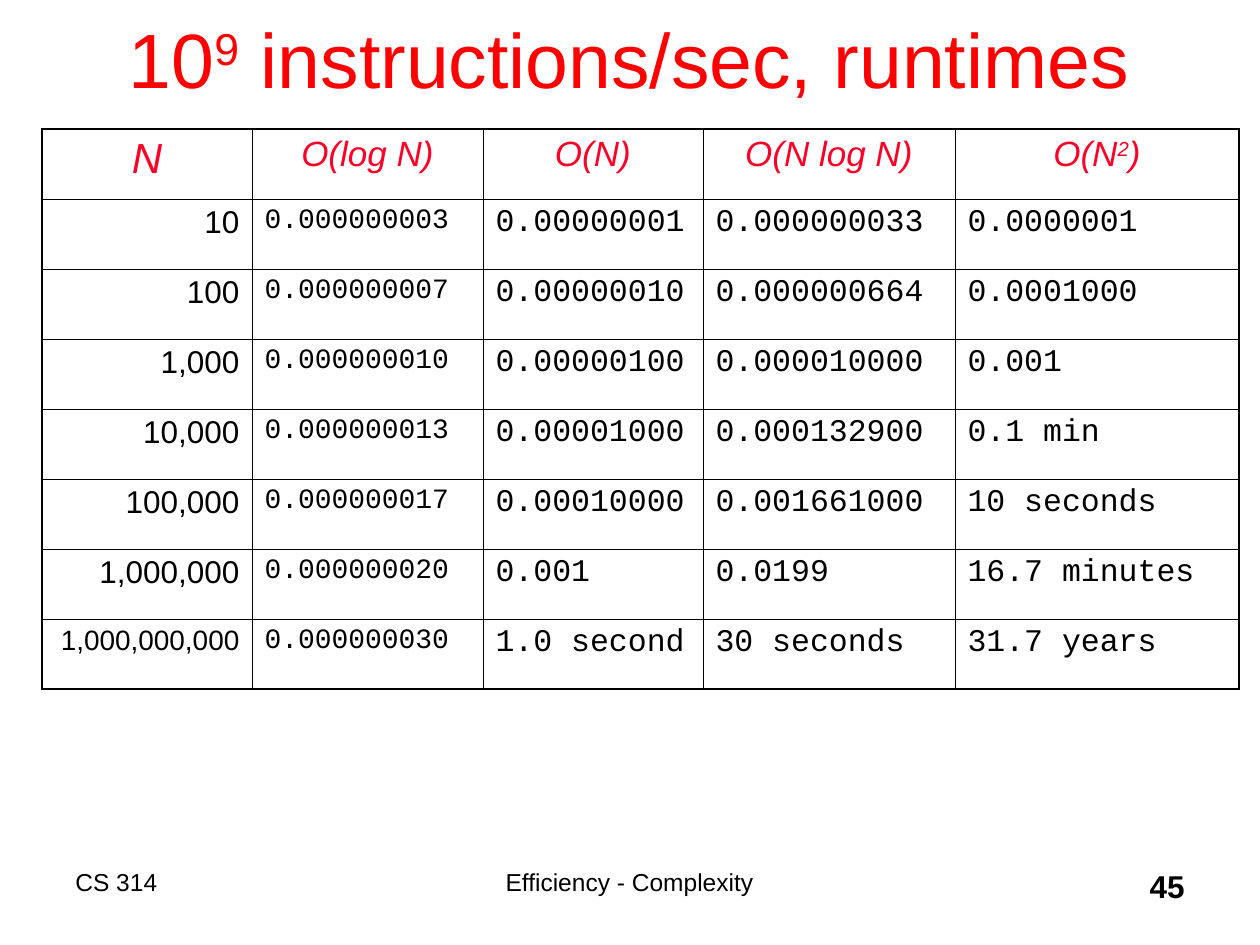
from typing import NamedTuple

from lxml.etree import SubElement
from pptx import Presentation
from pptx.dml.color import RGBColor
from pptx.enum.text import MSO_ANCHOR, MSO_AUTO_SIZE, PP_ALIGN
from pptx.oxml.ns import qn
from pptx.util import Emu, Pt

PX_PER_INCH = 126
COLORS = {"title": "FF0000", "header": "FC0128", "ink": "000000"}
OUTER_LINE, INNER_LINE = Pt(1.08), Pt(0.45)
TABLE_LEFT, TABLE_TOP, ROW_HEIGHT = 42, 129, 70
COLUMN_WIDTHS = [210, 231, 220, 252, 284]


class Box(NamedTuple):
    left: int
    top: int
    width: int
    height: int


class Style(NamedTuple):
    size: int
    color: str = "ink"
    align: PP_ALIGN = PP_ALIGN.LEFT
    font: str = "Arial"
    bold: bool = False
    italic: bool = False


class Label(NamedTuple):
    text: str
    box: Box
    style: Style


TITLE = Style(44, "title", PP_ALIGN.CENTER)
HEADER = Style(20, "header", PP_ALIGN.CENTER, italic=True)
CORNER = HEADER._replace(size=24)
COUNT = Style(18, align=PP_ALIGN.RIGHT)
LONG_COUNT = COUNT._replace(size=16)
RUNTIME = Style(18, font="Courier New")
LOG_RUNTIME = RUNTIME._replace(size=16)

# A caret encloses superscript text: "10^9^" raises the 9.
HEADERS = ["N", "O(log N)", "O(N)", "O(N log N)", "O(N^2^)"]
RUNTIMES = [
    ["10", "0.000000003", "0.00000001", "0.000000033", "0.0000001"],
    ["100", "0.000000007", "0.00000010", "0.000000664", "0.0001000"],
    ["1,000", "0.000000010", "0.00000100", "0.000010000", "0.001"],
    ["10,000", "0.000000013", "0.00001000", "0.000132900", "0.1 min"],
    ["100,000", "0.000000017", "0.00010000", "0.001661000", "10 seconds"],
    ["1,000,000", "0.000000020", "0.001", "0.0199", "16.7 minutes"],
    ["1,000,000,000", "0.000000030", "1.0 second", "30 seconds", "31.7 years"],
]
FOOTER = [
    Label("CS 314", Box(63, 861, 315, 63), Style(14)),
    Label("Efficiency - Complexity", Box(388, 861, 483, 63),
          Style(14, align=PP_ALIGN.CENTER)),
    Label("45", Box(935, 861, 262, 63),
          Style(18, align=PP_ALIGN.RIGHT, bold=True)),
]


def px(value: int) -> Emu:
    return Emu(round(value * 914400 / PX_PER_INCH))


def write(frame, text: str, style: Style) -> None:
    """Fill the first paragraph, raising the parts enclosed in carets."""
    para = frame.paragraphs[0]
    para.alignment = style.align
    font = para.font
    font.name, font.size = style.font, Pt(style.size)
    font.bold, font.italic = style.bold, style.italic
    font.color.rgb = RGBColor.from_string(COLORS[style.color])
    for index, part in enumerate(text.split("^")):
        span = para.add_run()
        span.text = part
        if index % 2:
            span._r.get_or_add_rPr().set("baseline", "30000")


def add_title(page, text: str, box: Box) -> None:
    title = page.shapes.title
    title.left, title.top, title.width, title.height = map(px, box)
    frame = title.text_frame
    frame.auto_size = MSO_AUTO_SIZE.NONE
    frame.vertical_anchor = MSO_ANCHOR.MIDDLE
    write(frame, text, TITLE)


def add_label(page, label: Label) -> None:
    frame = page.shapes.add_textbox(*map(px, label.box)).text_frame
    frame.word_wrap = True
    write(frame, label.text, label.style)


def set_borders(cell, outer_sides: dict[str, bool]) -> None:
    properties = cell._tc.get_or_add_tcPr()
    for side, is_outer in outer_sides.items():
        width = OUTER_LINE if is_outer else INNER_LINE
        line = SubElement(properties, qn(f"a:ln{side}"), w=str(int(width)))
        fill = SubElement(line, qn("a:solidFill"))
        SubElement(fill, qn("a:srgbClr"), val=COLORS["ink"])


def cell_style(row: int, column: int, text: str) -> Style:
    if row == 0:
        return HEADER if column else CORNER
    if column == 0:
        return LONG_COUNT if len(text) > 10 else COUNT
    return LOG_RUNTIME if column == 1 else RUNTIME


def add_runtime_table(page) -> None:
    rows = [HEADERS, *RUNTIMES]
    box = Box(TABLE_LEFT, TABLE_TOP, sum(COLUMN_WIDTHS), ROW_HEIGHT * len(rows))
    table = page.shapes.add_table(
        len(rows), len(HEADERS), *map(px, box)).table
    table.first_row = table.horz_banding = False
    for column, width in zip(table.columns, COLUMN_WIDTHS):
        column.width = px(width)
    for row_index, texts in enumerate(rows):
        table.rows[row_index].height = px(ROW_HEIGHT)
        for column_index, text in enumerate(texts):
            cell = table.cell(row_index, column_index)
            set_borders(cell, {
                "L": column_index == 0,
                "R": column_index == len(HEADERS) - 1,
                "T": row_index == 0,
                "B": row_index == len(rows) - 1,
            })
            cell.fill.background()
            write(cell.text_frame, text,
                  cell_style(row_index, column_index, text))


def main() -> None:
    deck = Presentation()
    deck.slide_width, deck.slide_height = px(1260), px(945)
    page = deck.slides.add_slide(deck.slide_layouts[5])
    add_title(page, "10^9^ instructions/sec, runtimes", Box(94, -21, 1071, 158))
    add_runtime_table(page)
    for label in FOOTER:
        add_label(page, label)
    deck.save("out.pptx")


if __name__ == "__main__":
    main()
